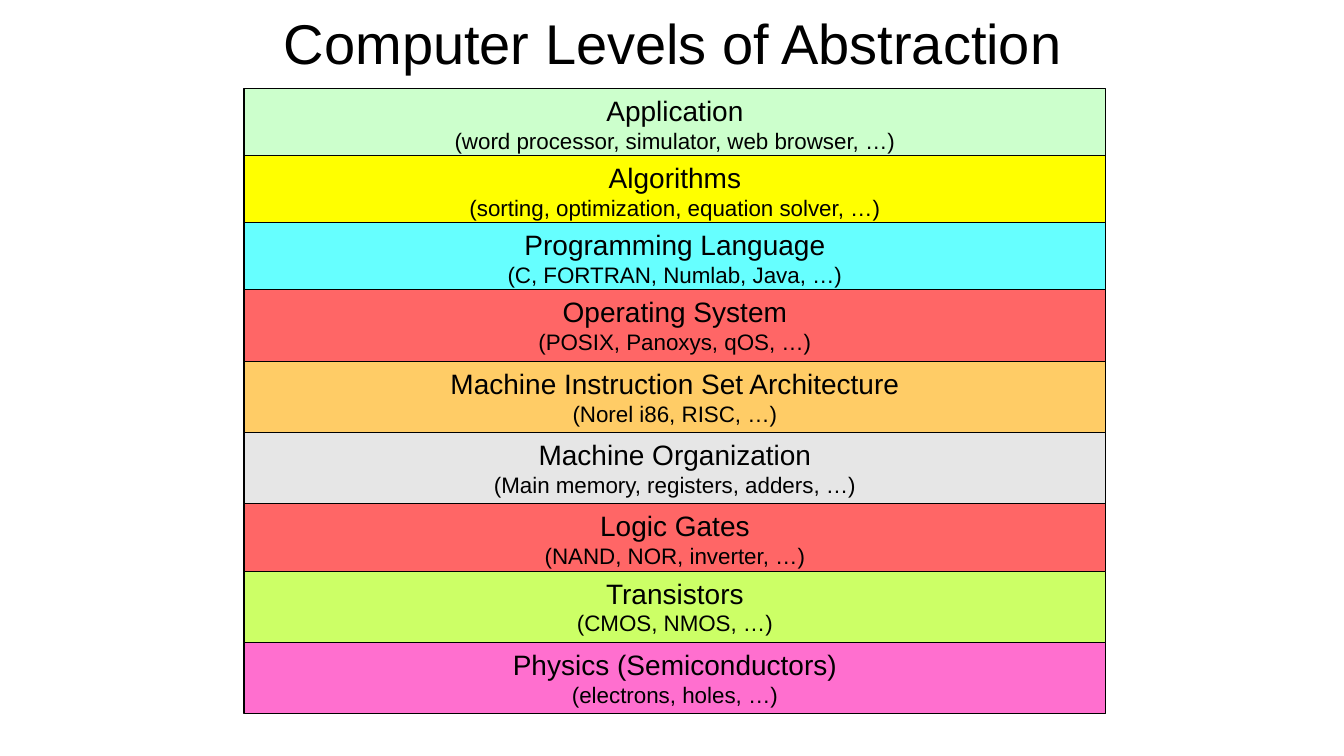
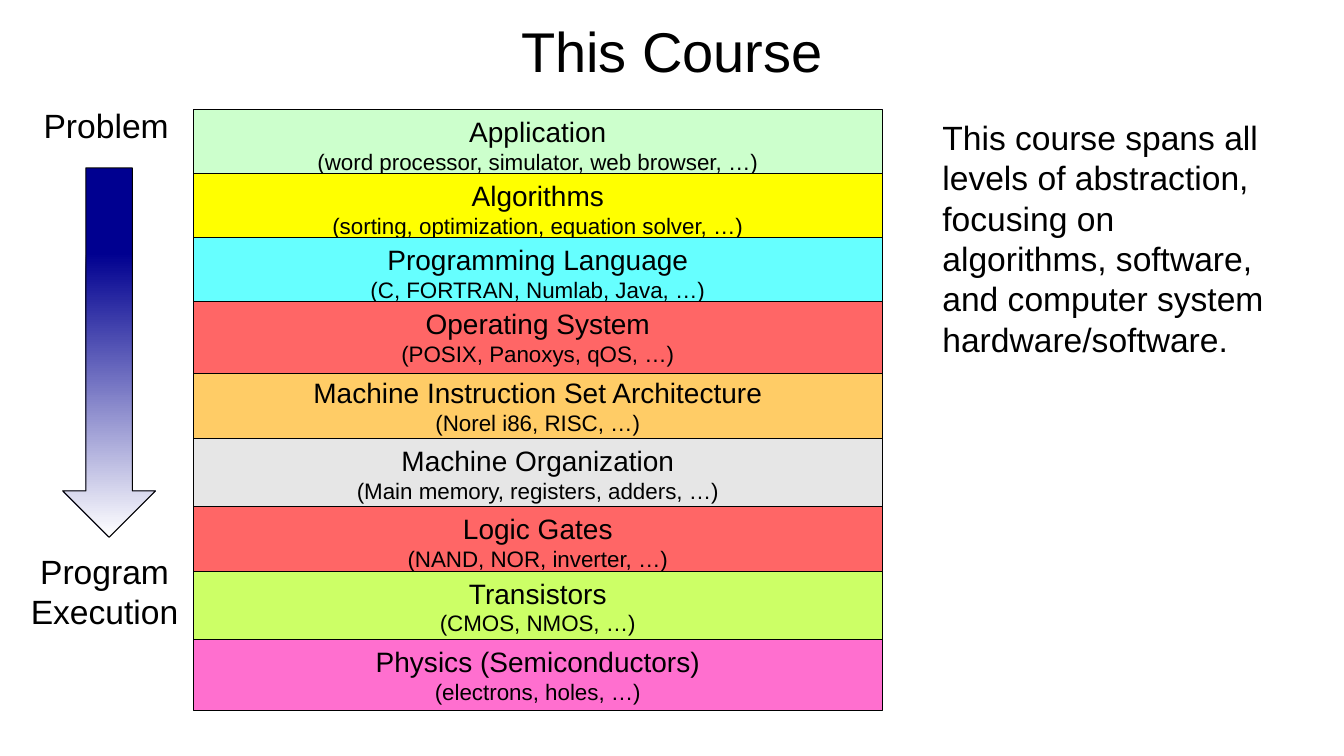
from dataclasses import dataclass
from itertools import accumulate
from typing import NamedTuple

from pptx import Presentation
from pptx.dml.color import RGBColor as Rgb
from pptx.enum.shapes import MSO_SHAPE as Shape
from pptx.enum.text import MSO_ANCHOR as Anchor, PP_ALIGN as Align
from pptx.util import Cm, Pt


@dataclass(frozen=True)
class Theme:
    """Colours, font and type sizes shared by the slides."""

    font: str = "Arial"
    ink: str = "000000"
    arrow_start: str = "000090"
    arrow_end: str = "FFFFFF"
    mint: str = "CCFFCC"
    yellow: str = "FFFF00"
    cyan: str = "66FFFF"
    red: str = "FF6666"
    orange: str = "FFCC66"
    grey: str = "E6E6E6"
    lime: str = "CCFF66"
    pink: str = "FF6FCF"
    title_size: int = 40
    body_size: int = 24
    level_size: int = 20
    example_size: int = 16
    outline: float = 0.75


THEME = Theme()


class Level(NamedTuple):
    """One level of abstraction, with the step from its top to the next."""

    name: str
    examples: str
    color: str
    step: str
    in_front: bool = False


LEVELS = (
    Level("Application", "(word processor, simulator, web browser, …)", THEME.mint, "tight"),
    Level("Algorithms", "(sorting, optimization, equation solver, …)", THEME.yellow, "tight"),
    Level("Programming Language", "(C, FORTRAN, Numlab, Java, …)", THEME.cyan, "tight"),
    Level("Operating System", "(POSIX, Panoxys, qOS, …)", THEME.red, "loose", True),
    Level("Machine Instruction Set Architecture", "(Norel i86, RISC, …)", THEME.orange, "loose"),
    Level("Machine Organization", "(Main memory, registers, adders, …)", THEME.grey, "loose"),
    Level("Logic Gates", "(NAND, NOR, inverter, …)", THEME.red, "tight"),
    Level("Transistors", "(CMOS, NMOS, …)", THEME.lime, "loose"),
    Level("Physics (Semiconductors)", "(electrons, holes, …)", THEME.pink, "loose"),
)
LEVEL_HEIGHT = 1.8


def add_line(frame, text, *, size=THEME.body_size, align=Align.CENTER):
    """Write one formatted paragraph at the end of a text frame."""
    para = frame.add_paragraph() if frame.text else frame.paragraphs[0]
    para.alignment = align
    span = para.add_run()
    span.text = text
    span.font.name = THEME.font
    span.font.size = Pt(size)
    span.font.color.rgb = Rgb.from_string(THEME.ink)


def add_text(page, lines, left, top, width, height, *, wrap=True, anchor=Anchor.TOP, **style):
    """Add a text box with one paragraph for each line."""
    box = page.shapes.add_textbox(Cm(left), Cm(top), Cm(width), Cm(height))
    frame = box.text_frame
    frame.word_wrap = wrap
    frame.vertical_anchor = anchor
    for line in lines:
        add_line(frame, line, **style)


def add_title(page, text, left, width, height):
    """Add the slide title at the top edge."""
    add_text(page, [text], left, 0, width, height, anchor=Anchor.MIDDLE, size=THEME.title_size)


def add_outlined(shapes, kind, left, top, width, height):
    """Add a thinly outlined preset shape without a shadow."""
    shape = shapes.add_shape(kind, Cm(left), Cm(top), Cm(width), Cm(height))
    shape.shadow.inherit = False
    shape.line.color.rgb = Rgb.from_string(THEME.ink)
    shape.line.width = Pt(THEME.outline)
    return shape


def add_level(shapes, level, left, top, width):
    """Add the coloured bar of one level."""
    bar = add_outlined(shapes, Shape.RECTANGLE, left, top, width, LEVEL_HEIGHT)
    bar.fill.solid()
    bar.fill.fore_color.rgb = Rgb.from_string(level.color)
    frame = bar.text_frame
    frame.word_wrap = True
    frame.vertical_anchor = Anchor.TOP
    add_line(frame, level.name, size=THEME.level_size)
    add_line(frame, level.examples, size=THEME.example_size)


def add_stack(page, left, top, width, *, tight, loose):
    """Add all levels as a group, drawing the front ones last."""
    steps = {"tight": tight, "loose": loose}
    tops = accumulate((steps[level.step] for level in LEVELS), initial=top)
    group = page.shapes.add_group_shape()
    for level, bar_top in sorted(zip(LEVELS, tops), key=lambda pair: pair[0].in_front):
        add_level(group.shapes, level, left, bar_top, width)


def add_fading_arrow(page, left, top, width, height):
    """Add a down arrow that fades towards its head."""
    arrow = add_outlined(page.shapes, Shape.DOWN_ARROW, left, top, width, height)
    arrow.fill.gradient()
    arrow.fill.gradient_angle = 270
    colors = ((0.23, THEME.arrow_start), (1, THEME.arrow_end))
    for stop, (position, color) in zip(arrow.fill.gradient_stops, colors):
        stop.position = position
        stop.color.rgb = Rgb.from_string(color)


def build_levels(page):
    """Build the slide that lists the levels of abstraction."""
    add_title(page, "Computer Levels of Abstraction", 6.15, 21.6, 2.1)
    add_stack(page, 6.15, 2.23, 21.72, tight=1.69, loose=1.8)


def build_course(page):
    """Build the slide that places the course among the levels."""
    add_title(page, "This Course", 4.23, 25.4, 2.54)
    add_text(page, ["Problem"], 0.85, 2.51, 3.68, 1.3, wrap=False, align=Align.LEFT)
    add_text(page, ["Program", "Execution"], 0.5, 13.76, 4.27, 2.31, wrap=False)
    add_fading_arrow(page, 1.58, 4.23, 2.34, 9.31)
    summary = (
        "This course spans all levels of abstraction, focusing on algorithms, "
        "software, and computer system hardware/software."
    )
    add_text(page, [summary], 23.5, 2.82, 9.1, 6.4, align=Align.LEFT)
    add_stack(page, 4.88, 2.75, 17.35, tight=1.62, loose=1.72)


def main():
    """Build and save the deck."""
    deck = Presentation()
    deck.slide_width = Cm(33.87)
    deck.slide_height = Cm(19.05)
    for build in (build_levels, build_course):
        build(deck.slides.add_slide(deck.slide_layouts[6]))
    deck.save("out.pptx")


if __name__ == "__main__":
    main()
